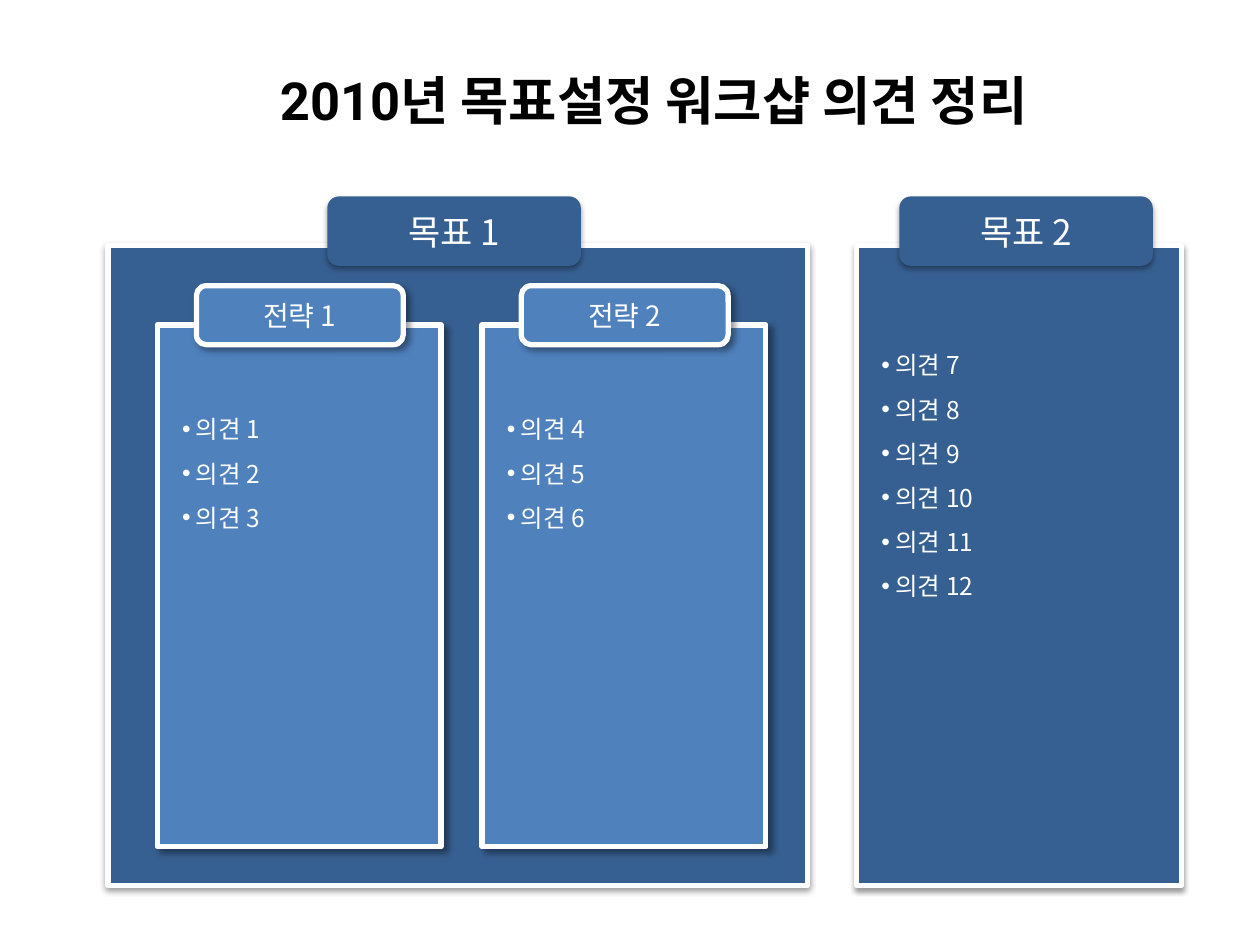
from lxml.etree import SubElement
from pptx import Presentation
from pptx.dml.color import RGBColor
from pptx.enum.shapes import MSO_SHAPE
from pptx.enum.text import MSO_ANCHOR, PP_ALIGN
from pptx.oxml.ns import qn
from pptx.util import Cm, Pt

COLORS = {"goal": "376092", "strategy": "4F81BD", "white": "FFFFFF", "black": "000000"}
FONT = "Noto Sans CJK KR"
TITLE_FONT = "Roboto"
PANEL_SHADOW = (38, 3.15, 1.57, 90)
TAB_SHADOW = (35, 3.15, 1.81, 90)
STRATEGY_SHADOW = (40, 4, 3, 45)


def rgb(name):
    return RGBColor.from_string(COLORS[name])


def style_run(r, size, color="white", font=FONT, bold=False):
    r.font.name = font
    r.font.size = Pt(size)
    r.font.bold = bold
    r.font.color.rgb = rgb(color)
    SubElement(r.font._element, qn("a:ea"), typeface=FONT)


def add_shadow(s, alpha, blur, dist, angle):
    s.shadow.inherit = False
    effects = s._element.spPr.find(qn("a:effectLst"))
    shadow = SubElement(effects, qn("a:outerShdw"), blurRad=str(Pt(blur)), dist=str(Pt(dist)),
                        dir=str(angle * 60000), rotWithShape="0")
    color = SubElement(shadow, qn("a:srgbClr"), val=COLORS["black"])
    SubElement(color, qn("a:alpha"), val=str(alpha * 1000))


def add_box(slide, kind, box, fill, shadow, outlined=True):
    s = slide.shapes.add_shape(kind, *[Cm(v) for v in box])
    s.fill.solid()
    s.fill.fore_color.rgb = rgb(fill)
    if outlined:
        s.line.color.rgb = rgb("white")
        s.line.width = Pt(3)
    else:
        s.line.fill.background()
    add_shadow(s, *shadow)
    return s


def add_tab(slide, box, text, size, fill, shadow, outlined):
    s = add_box(slide, MSO_SHAPE.ROUNDED_RECTANGLE, box, fill, shadow, outlined)
    tf = s.text_frame
    tf.text = text
    tf.vertical_anchor = MSO_ANCHOR.MIDDLE
    p = tf.paragraphs[0]
    p.alignment = PP_ALIGN.CENTER
    style_run(p.runs[0], size)


def fill_opinions(s, numbers, top):
    tf = s.text_frame
    tf.word_wrap = True
    tf.vertical_anchor = MSO_ANCHOR.TOP
    tf.margin_left = tf.margin_right = Cm(0.5)
    tf.margin_top, tf.margin_bottom = Cm(top), Cm(0.3)
    tf.text = "\n".join(f"의견 {n}" for n in numbers)
    for p in tf.paragraphs:
        p.alignment = PP_ALIGN.LEFT
        p.line_spacing = Pt(25.2)
        pPr = p._p.get_or_add_pPr()
        pPr.set("marL", str(Cm(0.28)))
        pPr.set("indent", str(-Cm(0.28)))
        SubElement(pPr, qn("a:buFont"), typeface="Arial")
        SubElement(pPr, qn("a:buChar"), char="•")
        style_run(p.runs[0], 14)


def add_goal(slide, box, text, tab_offset):
    x, y, w, h = box
    panel = add_box(slide, MSO_SHAPE.RECTANGLE, box, "goal", PANEL_SHADOW)
    add_tab(slide, (x + tab_offset, y - 0.99, 5.11, 1.4), text, 20, "goal", TAB_SHADOW, False)
    return panel


def add_strategy(slide, box, text, numbers):
    x, y, w, h = box
    panel = add_box(slide, MSO_SHAPE.RECTANGLE, box, "strategy", STRATEGY_SHADOW)
    fill_opinions(panel, numbers, 1.51)
    add_tab(slide, (x + 0.79, y - 0.79, 4.17, 1.19), text, 16, "strategy", STRATEGY_SHADOW, True)


def add_title(slide, box, text):
    s = slide.shapes.title
    s.left, s.top, s.width, s.height = [Cm(v) for v in box]
    tf = s.text_frame
    tf.text = text
    tf.vertical_anchor = MSO_ANCHOR.MIDDLE
    p = tf.paragraphs[0]
    p.alignment = PP_ALIGN.CENTER
    style_run(p.runs[0], 30, "black", TITLE_FONT, True)


def main():
    prs = Presentation()
    prs.slide_width, prs.slide_height = Cm(25.4), Cm(19.05)
    slide = prs.slides.add_slide(prs.slide_layouts[5])
    add_title(slide, (1.75, 0.41, 22.86, 3.18), "2010년 목표설정 워크샵 의견 정리")

    x, y, h = 2.18, 4.95, 12.9
    add_goal(slide, (x, y, 14.1, h), "목표 1", 4.42)
    for i in range(2):
        box = (x + 0.99 + 6.55 * i, y + 1.6, 5.72, 10.52)
        add_strategy(slide, box, f"전략 {i + 1}", range(3 * i + 1, 3 * i + 4))

    panel = add_goal(slide, (17.27, y, 6.55, h), "목표 2", 0.86)
    fill_opinions(panel, range(7, 13), 1.82)
    prs.save("out.pptx")


if __name__ == "__main__":
    main()
